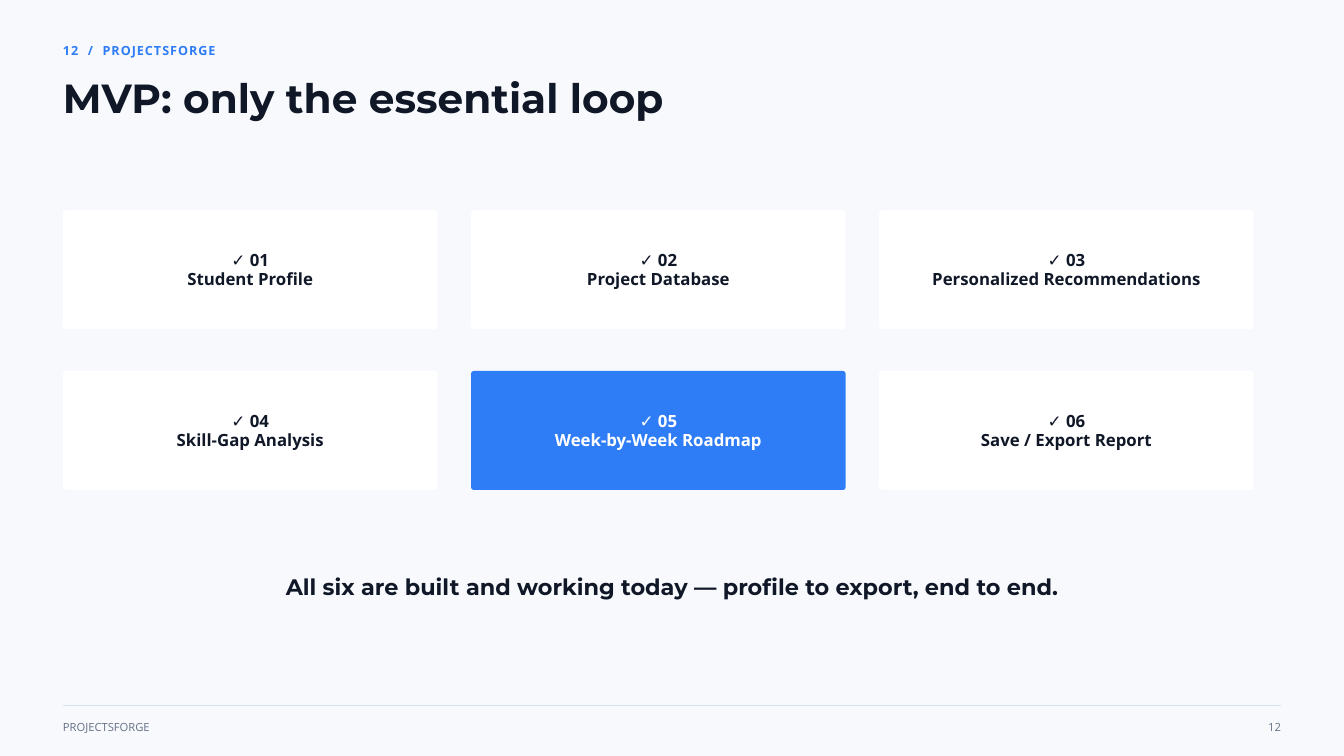
import pptx
import pptx.util
import pptx.dml.color
import pptx.enum.shapes
import pptx.enum.text
import pptx.oxml

RGBColor = pptx.dml.color.RGBColor
ALIGN = pptx.enum.text.PP_ALIGN
ANCHOR = pptx.enum.text.MSO_ANCHOR
SHAPE = pptx.enum.shapes.MSO_SHAPE

PAPER = RGBColor(0xF7, 0xF9, 0xFC)
BLUE = RGBColor(0x2F, 0x7D, 0xF6)
INK = RGBColor(0x10, 0x18, 0x28)
WHITE = RGBColor(0xFF, 0xFF, 0xFF)
RULE = RGBColor(0xD9, 0xE1, 0xEC)
GREY = RGBColor(0x66, 0x70, 0x85)

PX = 9525
LEFT, RIGHT = 90, 1830
CARD_W, CARD_H, RADIUS = 535, 170, 4
CARD_TOP, COL_STEP, ROW_STEP, COLUMNS = 300, 583, 230, 3
HIGHLIGHT = 5

EYEBROW = {"size": 13.5, "name": "Open Sans", "color": BLUE, "bold": True}
TITLE = {"size": 43.5, "name": "Montserrat", "color": INK, "bold": True}
CARD = {"size": 18, "name": "Open Sans", "color": INK, "bold": True}
NOTE = {"size": 24, "name": "Montserrat", "color": INK, "bold": True}
FOOTER = {"size": 12, "name": "Open Sans", "color": GREY, "bold": False}

FEATURES = [
    "Student Profile",
    "Project Database",
    "Personalized Recommendations",
    "Skill-Gap Analysis",
    "Week-by-Week Roadmap",
    "Save / Export Report",
]


def px(*values):
    return [pptx.util.Emu(v * PX) for v in values]


def set_margins(tf, left, top, right, bottom):
    sides = {"left": left, "top": top, "right": right, "bottom": bottom}
    for side, value in sides.items():
        setattr(tf, f"margin_{side}", pptx.util.Emu(value * PX))


def write(tf, lines, style, leading, align):
    for i, line in enumerate(lines):
        p = tf.paragraphs[0] if i == 0 else tf.add_paragraph()
        p.alignment = align
        p.line_spacing = pptx.util.Pt(leading)
        r = p.add_run()
        r.text = line
        values = dict(style, size=pptx.util.Pt(style["size"]))
        r.font.color.rgb = values.pop("color")
        for name, value in values.items():
            setattr(r.font, name, value)


def add_text(s, box, text, style, leading, align=ALIGN.LEFT):
    tf = s.shapes.add_textbox(*px(*box)).text_frame
    tf.word_wrap = True
    set_margins(tf, 0, 0, 0, 0)
    write(tf, [text], style, leading, align)
    return tf


def add_card(s, number, label):
    row, col = divmod(number - 1, COLUMNS)
    x, y = LEFT + col * COL_STEP, CARD_TOP + row * ROW_STEP
    sp = s.shapes.add_shape(SHAPE.ROUNDED_RECTANGLE, *px(x, y, CARD_W, CARD_H))
    sp.adjustments[0] = RADIUS / CARD_H
    sp.shadow.inherit = False
    active = number == HIGHLIGHT
    sp.fill.solid()
    sp.fill.fore_color.rgb = BLUE if active else WHITE
    sp.line.fill.background()
    tf = sp.text_frame
    tf.word_wrap = True
    tf.vertical_anchor = ANCHOR.MIDDLE
    set_margins(tf, 6, 8, 6, 6)
    style = dict(CARD, color=WHITE if active else INK)
    write(tf, [f"✓ {number:02d}", label], style, 19.8, ALIGN.CENTER)


def add_rule(s, y):
    line = s.shapes.add_connector(
        pptx.enum.shapes.MSO_CONNECTOR.STRAIGHT, *px(LEFT, y, RIGHT, y))
    line.line.color.rgb = RULE
    line.line.width = pptx.util.Pt(0.75)
    sp_pr = line._element.spPr
    sp_pr.append(sp_pr.makeelement(pptx.oxml.ns.qn("a:effectLst"), {}))


def main():
    prs = pptx.Presentation()
    prs.slide_width, prs.slide_height = px(1920, 1080)
    s = prs.slides.add_slide(prs.slide_layouts[6])
    s.background.fill.solid()
    s.background.fill.fore_color.rgb = PAPER

    tf = add_text(s, (LEFT, 58, 650, 24), "12  /  PROJECTSFORGE", EYEBROW, 18.9)
    tf.paragraphs[0].runs[0].font._element.set("spc", "110")
    add_text(s, (LEFT, 113, 1500, 63), "MVP: only the essential loop", TITLE, 45.7)

    for number, label in enumerate(FEATURES, 1):
        add_card(s, number, label)

    add_text(s, (336, 824, 1248, 34),
             "All six are built and working today — profile to export, end to end.",
             NOTE, 25.2, ALIGN.CENTER)
    add_rule(s, 1008)
    add_text(s, (LEFT, 1027, 300, 19), "PROJECTSFORGE", FOOTER, 15.6)
    add_text(s, (RIGHT - 70, 1027, 70, 19), "12", FOOTER, 15.6, ALIGN.RIGHT)
    prs.save("out.pptx")


if __name__ == "__main__":
    main()
